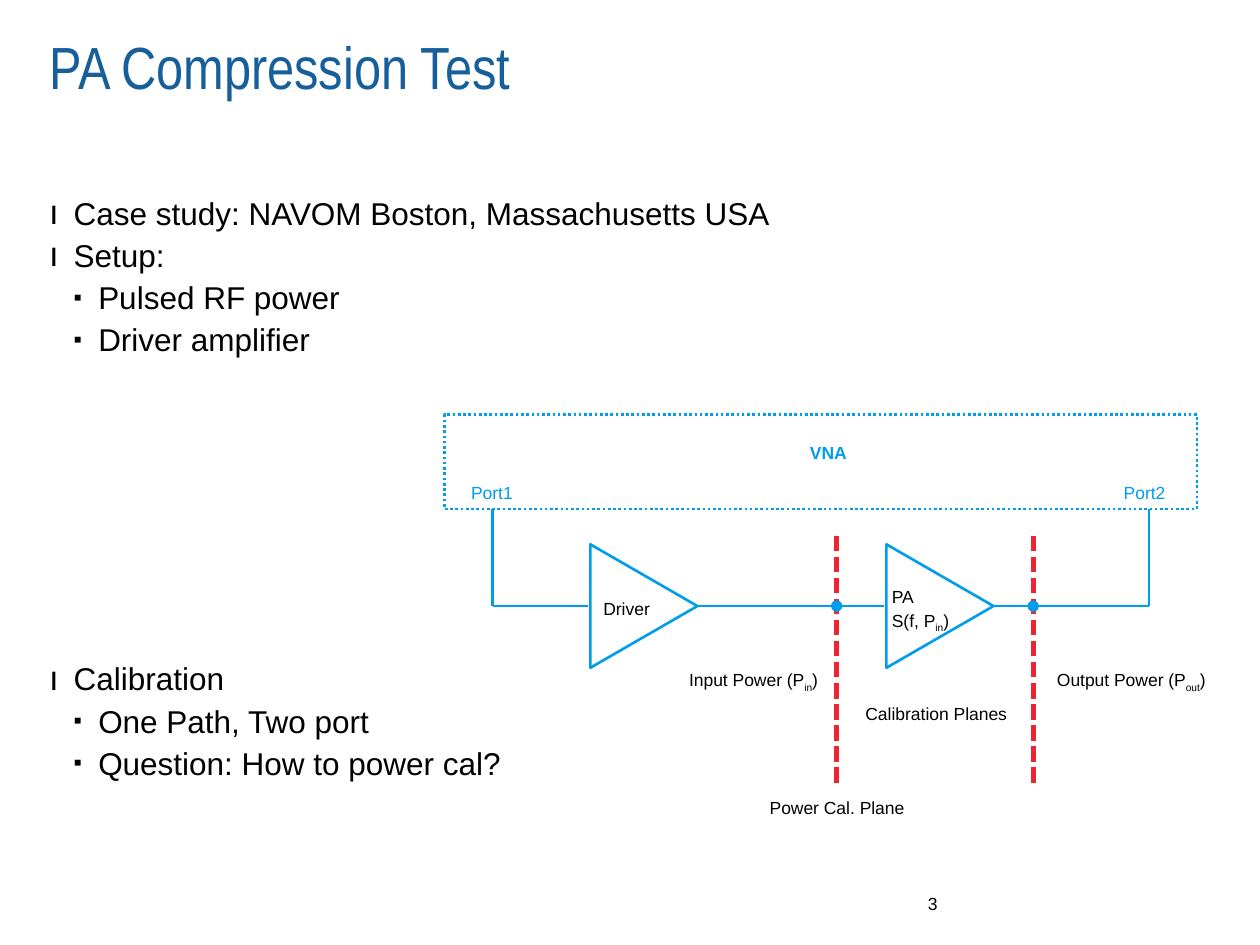
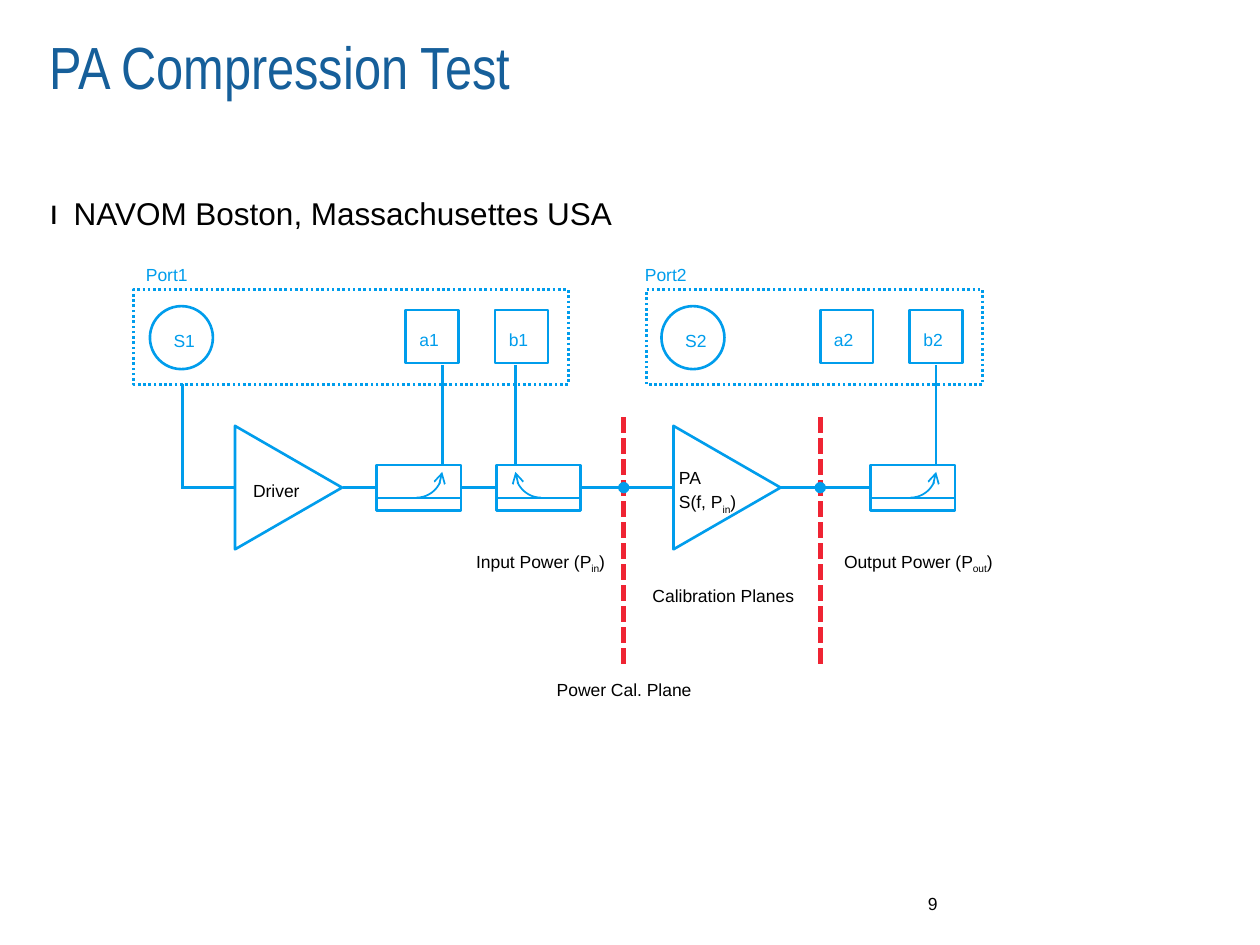
from dataclasses import dataclass
from lxml.etree import SubElement
from pptx import Presentation
from pptx.dml.color import RGBColor
from pptx.enum.dml import MSO_LINE
from pptx.enum.shapes import MSO_CONNECTOR, MSO_SHAPE
from pptx.enum.text import PP_ALIGN
from pptx.oxml.ns import qn
from pptx.util import Inches, Pt


@dataclass(frozen=True)
class Theme:
    title: str = "165F9A"
    text: str = "000000"
    signal: str = "009DEC"
    plane: str = "EF2433"
    paper: str = "FFFFFF"
    font: str = "Arial"
    title_font: str = "Arial Narrow"
    title_size: float = 34
    body_size: float = 18
    label_size: float = 10
    wire: float = 1.5
    thin: float = 1
    thick: float = 3
    spacing: float = 1.12


T = Theme()
TITLE = "PA Compression Test"
BULLETS = [("ı", 110), ("▪", 75)]  # character and size percentage by level
BODY_LINE = 24.2  # points taken by one body line

# level, text, blank lines above
SETUP_BODY = [
    (0, "Case study: NAVOM Boston, Massachusetts USA", 0),
    (0, "Setup:", 0),
    (1, "Pulsed RF power", 0),
    (1, "Driver amplifier", 0),
    (0, "Calibration", 7),
    (1, "One Path, Two port", 0),
    (1, "Question: How to power cal?", 0),
]
DETAIL_BODY = [(0, "NAVOM Boston, Massachusettes USA", 0)]

# text with |subscript| parts, then box relative to the input plane crossing
STAGE_LABELS = [
    ("Input Power (P|in|)", -1.27, 0.43, 1.28),
    ("Output Power (P|out|)", 1.65, 0.43, 1.68),
    ("Power Cal. Plane", -0.63, 1.45, 1.28),
    ("Calibration Planes", 0.13, 0.7, 1.39),
    ("PA\nS(f, P|in|)", 0.34, -0.23, 0.81),
]
PLANE_GAP = 1.56

# port label, label left, frame left, frame width, source, source left, receivers
PORTS = [
    ("Port1", 1.06, 1.06, 3.45, "S1", 1.19, [("a1", 3.22), ("b1", 3.93)]),
    ("Port2", 5.02, 5.13, 2.67, "S2", 5.25, [("a2", 6.51), ("b2", 7.22)]),
]
# left, mirrored, x of the wire up to the receiver
COUPLERS = [(2.99, False, 3.51), (3.94, True, 4.09), (6.91, False, 7.43)]
COUPLER_W, COUPLER_H, ARC = 0.67, 0.36, 0.41


def rgb(color):
    return RGBColor.from_string(color)


def style_run(r, size, color, font=T.font, bold=False):
    r.font.size, r.font.name, r.font.bold = Pt(size), font, bold
    r.font.color.rgb = rgb(color)


def text_box(s, x, y, w, h, inset=True):
    tf = s.shapes.add_textbox(Inches(x), Inches(y), Inches(w), Inches(h)).text_frame
    tf.word_wrap = True
    if not inset:
        tf.margin_left = tf.margin_right = tf.margin_top = tf.margin_bottom = 0
    return tf


def plain_text(s, text, box, size, color, font=T.font, align=PP_ALIGN.LEFT):
    tf = text_box(s, *box, inset=False)
    tf.text = text
    p = tf.paragraphs[0]
    p.alignment = align
    style_run(p.runs[0], size, color, font)


def label(s, text, x, y, w, color=T.text, bold=False):
    """Small diagram text; parts between bars are set as subscripts."""
    tf = text_box(s, x, y, w, 0.28)
    for i, line in enumerate(text.split("\n")):
        p = tf.add_paragraph() if i else tf.paragraphs[0]
        p.line_spacing = T.spacing
        for j, part in enumerate(line.split("|")):
            r = p.add_run()
            r.text = part
            style_run(r, T.label_size, color, bold=bold)
            if j % 2:
                r.font._element.set("baseline", "-25000")


def body(s, items):
    tf = text_box(s, 0.39, 1.5, 9.06, 5.12, inset=False)
    for i, (level, text, blanks) in enumerate(items):
        p = tf.add_paragraph() if i else tf.paragraphs[0]
        p.text, p.level = text, level
        p.line_spacing = T.spacing
        p.space_before = Pt(blanks * BODY_LINE)
        style_run(p.runs[0], T.body_size, T.text)
        char, percent = BULLETS[level]
        pPr = p._p.get_or_add_pPr()
        pPr.set("marL", str(Inches(0.195 * (level + 1))))
        pPr.set("indent", str(-Inches(0.195)))
        SubElement(pPr, qn("a:buSzPct"), val=str(percent * 1000))
        SubElement(pPr, qn("a:buFont"), typeface=T.font)
        SubElement(pPr, qn("a:buChar"), char=char)


def shape(s, kind, x, y, w, h, fill=None, line=T.signal, width=T.wire, dash=None):
    sp = s.shapes.add_shape(kind, Inches(x), Inches(y), Inches(w), Inches(h))
    sp.shadow.inherit = False
    if fill:
        sp.fill.solid()
        sp.fill.fore_color.rgb = rgb(fill)
    else:
        sp.fill.background()
    if line:
        sp.line.color.rgb = rgb(line)
        sp.line.width = Pt(width)
        sp.line.dash_style = dash
    else:
        sp.line.fill.background()
    return sp


def wire(s, x1, y1, x2, y2, color=T.signal, width=T.wire, dash=None):
    c = s.shapes.add_connector(
        MSO_CONNECTOR.STRAIGHT, Inches(x1), Inches(y1), Inches(x2), Inches(y2))
    c.line.color.rgb = rgb(color)
    c.line.width = Pt(width)
    c.line.dash_style = dash
    SubElement(c._element.spPr, qn("a:effectLst"))
    return c


def frame(s, x, y, w):
    shape(s, MSO_SHAPE.RECTANGLE, x, y, w, 0.75, dash=MSO_LINE.ROUND_DOT)


def amplifier(s, cx, cy):
    w, h = 0.98, 0.85
    sp = shape(s, MSO_SHAPE.ISOSCELES_TRIANGLE, cx - w / 2, cy - h / 2, w, h, T.paper)
    sp.rotation = 90


def driver(s, cx, cy, label_x):
    amplifier(s, cx, cy)
    label(s, "Driver", label_x, cy - 0.13, 0.81)


def pa_stage(s, x, y, input_from, output_to):
    """Amplifier under test between its two planes; returns its two wires."""
    amplifier(s, x + 0.82, y)
    wires = (wire(s, input_from, y, x + 0.38, y),
             wire(s, x + 1.24, y, output_to, y))
    for px in (x, x + PLANE_GAP):
        wire(s, px, y - 0.56, px, y + 1.43, T.plane, T.thick, MSO_LINE.SQUARE_DOT)
        shape(s, MSO_SHAPE.OVAL, px - 0.045, y - 0.045, 0.09, 0.09, T.signal, None)
    for text, dx, dy, w in STAGE_LABELS:
        label(s, text, x + dx, y + dy, w)
    return wires


def coupler(s, x, y, mirrored, tap_x):
    """Directional coupler centred on height y, with its wire to a receiver."""
    top = y - COUPLER_H / 2
    box = shape(s, MSO_SHAPE.RECTANGLE, x, top, COUPLER_W, COUPLER_H)
    line_y = top + 0.26
    wire(s, x, line_y, x + COUPLER_W, line_y, width=T.thin)
    arc_x = x + (0.15 if mirrored else 0.11)
    arc = shape(s, MSO_SHAPE.ARC, arc_x, line_y - ARC, ARC, ARC, width=T.thin)
    xfrm = arc._element.spPr.find(qn("a:xfrm"))
    xfrm.set("flipV", "1")
    if mirrored:
        xfrm.set("flipH", "1")
    SubElement(arc.line._get_or_add_ln(), qn("a:tailEnd"), type="arrow")
    wire(s, tap_x, 2.9, tap_x, top)
    return box


def port(s, name, name_x, x, w, source, source_x, receivers):
    label(s, name, name_x, 2.03, 0.61, T.signal)
    frame(s, x, 2.3, w)
    shape(s, MSO_SHAPE.OVAL, source_x, 2.43, 0.5, 0.5)
    label(s, source, source_x + 0.09, 2.55, 0.4, T.signal)
    for receiver, rx in receivers:
        shape(s, MSO_SHAPE.RECTANGLE, rx, 2.46, 0.42, 0.42)
        label(s, receiver, rx + 0.01, 2.54, 0.4, T.signal)


def new_slide(prs, items, number):
    s = prs.slides.add_slide(prs.slide_layouts[6])
    plain_text(s, TITLE, (0.39, 0.24, 9.06, 1.18), T.title_size, T.title, T.title_font)
    body(s, items)
    plain_text(s, number, (6.89, 7.09, 0.55, 0.2), T.label_size, T.text,
               align=PP_ALIGN.RIGHT)
    return s


def setup_slide(prs):
    s = new_slide(prs, SETUP_BODY, "3")
    y, frame_bottom = 4.81, 4.04
    frame(s, 3.53, 3.29, 5.97)
    label(s, "VNA", 6.33, 3.44, 0.61, T.signal, bold=True)
    for name, label_x, wire_x in (("Port1", 3.64, 3.91), ("Port2", 8.82, 9.12)):
        label(s, name, label_x, 3.76, 0.61, T.signal)
        wire(s, wire_x, frame_bottom, wire_x, y)
    wire(s, 3.91, y, 4.67, y)
    pa_stage(s, 6.64, y, 5.53, 9.12)
    driver(s, 5.11, y, 4.69)


def detail_slide(prs):
    s = new_slide(prs, DETAIL_BODY, "9")
    y = 3.87
    for item in PORTS:
        port(s, *item)
    first, second, third = [coupler(s, x, y, m, tap) for x, m, tap in COUPLERS]
    wire(s, 1.45, 3.05, 1.45, y)
    wire(s, 1.44, y, 1.87, y)
    driver(s, 2.29, y, 1.91)
    wire(s, 2.72, y, 2.99, y).end_connect(first, 1)
    link = wire(s, 3.66, y, 3.94, y)
    link.begin_connect(first, 3)
    link.end_connect(second, 1)
    pa_input, pa_output = pa_stage(s, 4.95, y, 4.61, 6.91)
    pa_input.begin_connect(second, 3)
    pa_output.end_connect(third, 1)


def main():
    prs = Presentation()
    prs.slide_width, prs.slide_height = Inches(10), Inches(7.5)
    setup_slide(prs)
    detail_slide(prs)
    prs.save("out.pptx")


if __name__ == "__main__":
    main()
